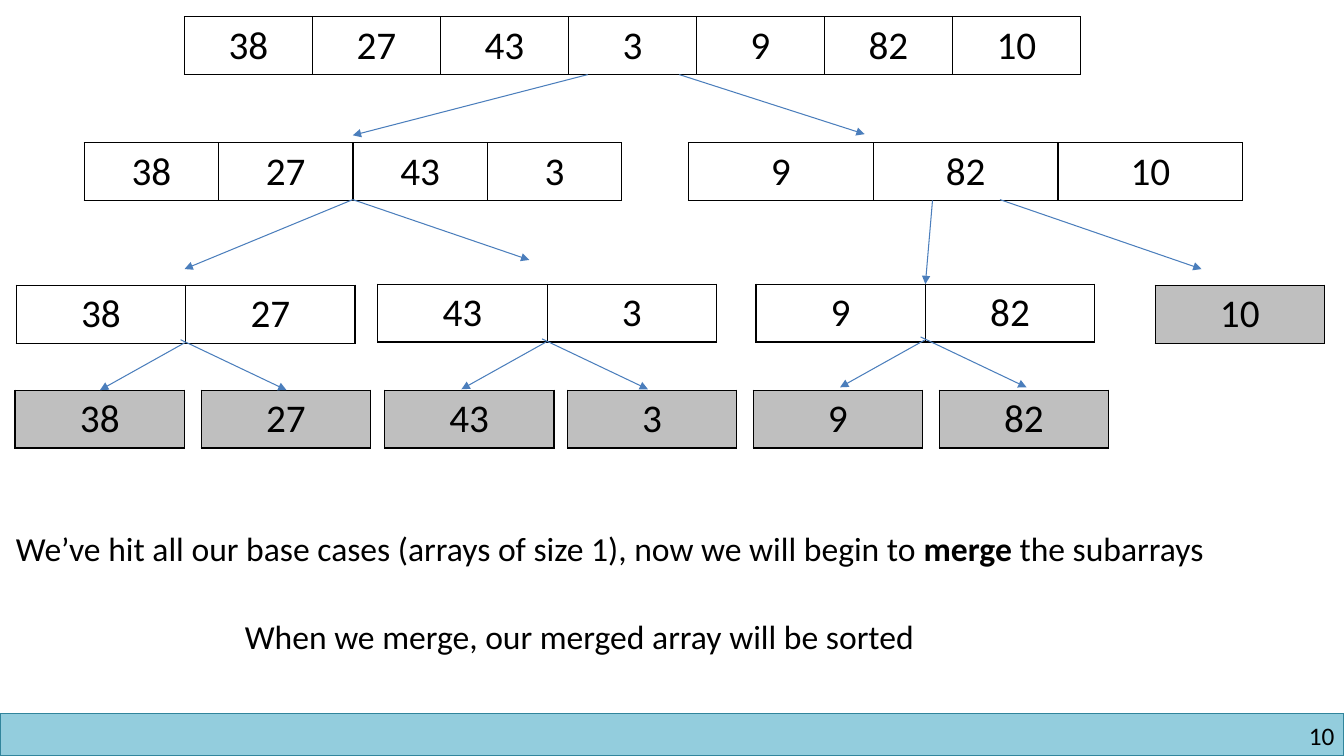
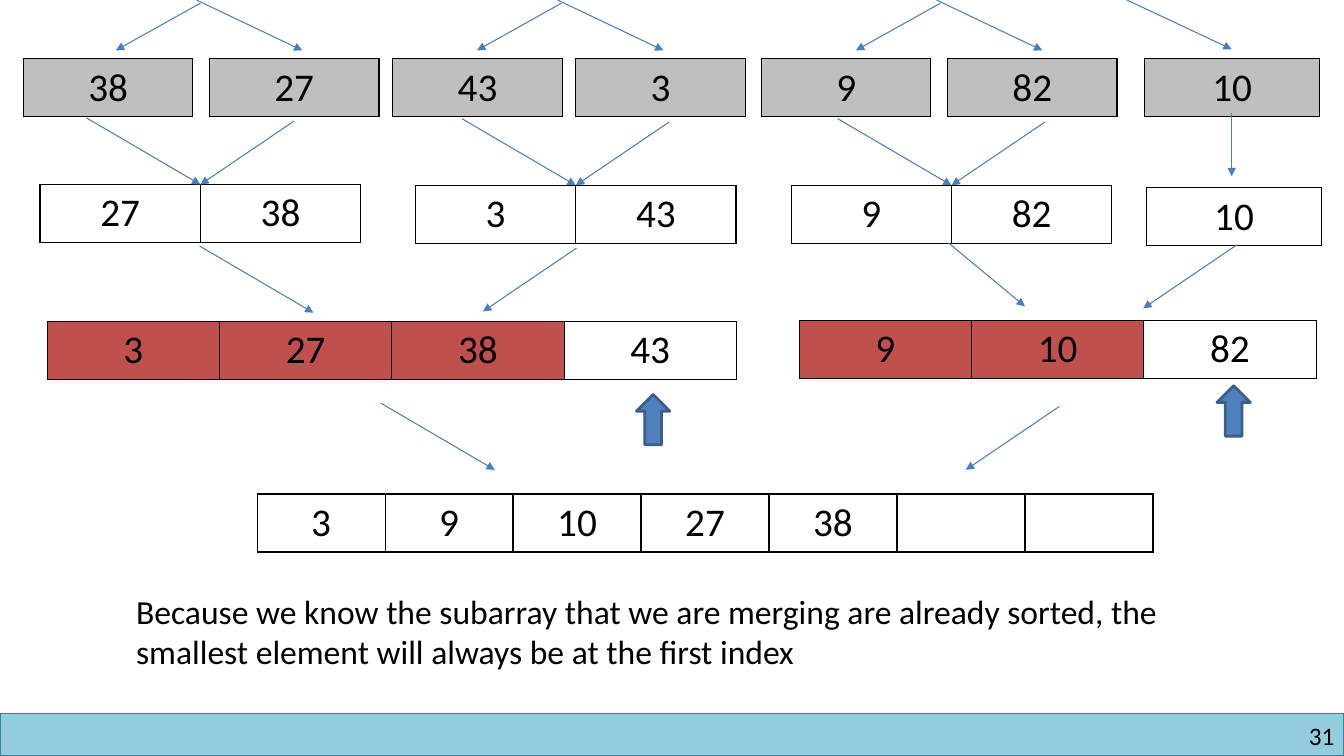
from lxml import etree
from pptx import Presentation
from pptx.dml.color import RGBColor as Rgb
from pptx.enum.shapes import MSO_CONNECTOR as Link, MSO_SHAPE as Kind
from pptx.enum.text import PP_ALIGN as Align
from pptx.oxml import parse_xml
from pptx.oxml.ns import nsdecls, qn
from pptx.util import Cm, Pt

COLORS = {
    "band": "93CDDD", "edge": "31859C", "ink": "000000", "white": "FFFFFF",
    "base": "BFBFBF", "used": "C0504D", "link": "4B7EBC",
    "mark": "4F81BD", "rim": "3A5F8C",
}
FONT = "Calibri"
WIDE, TALL = 33.87, 19.05
CELL_H = 1.46
LEAF_W, LEAF_X = 4.27, (0, 4.69, 9.31, 13.92, 18.6, 23.29)
LEAF_NUMS = (38, 27, 43, 3, 9, 82)
TO_RIGHT, TO_LEFT = (2.87, 1.68), (-2.36, 1.6)


def color(name):
    return Rgb.from_string(COLORS[name])


def style(run, size, bold=False):
    font = run.font
    font.name, font.size, font.bold = FONT, Pt(size), bold
    font.color.rgb = color("ink")


# Basic parts
def shape(slide, kind, box, fill, line, width):
    item = slide.shapes.add_shape(kind, *map(Cm, box))
    item.shadow.inherit = False
    item.fill.solid()
    item.fill.fore_color.rgb = color(fill)
    item.line.color.rgb = color(line)
    item.line.width = Pt(width)


def arrow(slide, x, y, dx, dy):
    line = slide.shapes.add_connector(
        Link.STRAIGHT, Cm(x), Cm(y), Cm(x + dx), Cm(y + dy))
    line.line.color.rgb = color("link")
    line.line.width = Pt(0.75)
    props = line._element.spPr
    etree.SubElement(props.find(qn("a:ln")), qn("a:tailEnd"), type="triangle")
    etree.SubElement(props, qn("a:effectLst"))


def note(slide, box, text, size=24, align=Align.LEFT, inset=None):
    """Place text; parts between asterisks are bold."""
    frame = slide.shapes.add_textbox(*map(Cm, box)).text_frame
    frame.word_wrap = True
    if inset is not None:
        frame.margin_left = frame.margin_right = Cm(inset)
        frame.margin_top = frame.margin_bottom = Cm(inset)
    para = frame.paragraphs[0]
    para.alignment = align
    for i, part in enumerate(text.split("*")):
        run = para.add_run()
        run.text = part
        style(run, size, bold=i % 2 == 1)


def border(cell):
    props = cell._tc.get_or_add_tcPr()
    for side in "LRTB":
        props.append(parse_xml(
            f'<a:ln{side} {nsdecls("a")} w="12700"><a:solidFill>'
            f'<a:srgbClr val="{COLORS["ink"]}"/></a:solidFill></a:ln{side}>'))


def array(slide, x, y, width, nums, fill="white", count=None):
    """Draw one row of numbers; the first count cells take the fill."""
    count = len(nums) if count is None else count
    table = slide.shapes.add_table(
        1, len(nums), Cm(x), Cm(y), Cm(width), Cm(CELL_H)).table
    table.first_row = table.horz_banding = False
    for i, num in enumerate(nums):
        table.columns[i].width = Cm(width / len(nums))
        cell = table.cell(0, i)
        border(cell)
        cell.fill.solid()
        cell.fill.fore_color.rgb = color(fill if i < count else "white")
        cell.text_frame.text = str(num)
        para = cell.text_frame.paragraphs[0]
        para.alignment = Align.CENTER
        for run in para.runs:
            style(run, 28)


# Shared regions
def footer(slide, page):
    top = 17.98
    shape(slide, Kind.RECTANGLE, (0, top, WIDE, TALL - top), "band", "edge", 1)
    note(slide, (25.83, top + 0.18, 7.8, 0.76), str(page), 18, Align.RIGHT, 0)


def leaves(slide, x, y):
    for dx, num in zip(LEAF_X, LEAF_NUMS):
        array(slide, x + dx, y, LEAF_W, [num], "base")


def fork(slide, x, y):
    arrow(slide, x, y, -2.13, 1.19)
    arrow(slide, x - 0.1, y - 0.08, 2.67, 1.27)


def join(slide, x, y):
    for dx, dy in (TO_RIGHT, TO_LEFT):
        arrow(slide, x - dx, y - dy, dx, dy)


# Slides
def split(slide):
    array(slide, 4.65, 0.42, 22.58, (38, 27, 43, 3, 9, 82, 10))
    array(slide, 2.12, 3.6, 13.55, (38, 27, 43, 3))
    array(slide, 17.35, 3.6, 13.97, (9, 82, 10))
    for x, y, nums in ((0.41, 7.19, (38, 27)), (9.52, 7.16, (43, 3)),
                       (19.05, 7.16, (9, 82))):
        array(slide, x, y, 2 * LEAF_W, nums)
    array(slide, 29.11, 7.19, LEAF_W, [10], "base")
    leaves(slide, 0.38, 9.83)
    for leg in ((14.81, 1.88, -5.92, 1.53), (17.12, 1.88, 4.67, 1.5),
                (8.89, 5.03, -4.24, 1.75), (8.89, 5.03, 4.45, 1.52),
                (23.5, 5.05, -0.18, 2.11), (25.2, 5.03, 5.08, 1.75)):
        arrow(slide, *leg)
    for x, y in ((4.65, 8.64), (13.76, 8.62), (23.3, 8.57)):
        fork(slide, x, y)
    note(slide, (0.15, 13.18, 33.5, 1.27),
         "We’ve hit all our base cases (arrays of size 1), now we will "
         "begin to *merge* the subarrays")
    note(slide, (5.92, 15.39, 19, 1.27),
         "When we merge, our merged array will be sorted")


def merge(slide):
    # Base cases
    leaves(slide, 0.59, 1.48)
    array(slide, 28.85, 1.48, 4.4, [10], "base")
    for x in (5.05, 14.15, 23.7):
        fork(slide, x, 0.08)
    arrow(slide, 28.4, 0, 2.64, 1.24)

    # Sorted pairs
    for x, y, nums in ((1.01, 4.65, (27, 38)), (10.47, 4.67, (3, 43)),
                       (19.94, 4.67, (9, 82))):
        array(slide, x, y, 8.08, nums)
        join(slide, x + 4.04, y)
    array(slide, 28.9, 4.73, 4.4, [10])
    arrow(slide, 31.04, 2.84, 0, 1.6)

    # Sorted halves and the result
    array(slide, 1.19, 8.1, 17.37, (3, 27, 38, 43), "used", 3)
    array(slide, 20.14, 8.08, 13.03, (9, 10, 82), "used", 2)
    array(slide, 6.48, 12.45, 22.58, (3, 9, 10, 27, 38, "", ""))
    for x, y, way in ((5.03, 6.2, TO_RIGHT), (14.53, 6.25, TO_LEFT),
                      (23.9, 6.12, (1.93, 1.6)), (31.17, 6.17, TO_LEFT),
                      (9.6, 10.16, TO_RIGHT), (26.7, 10.24, TO_LEFT)):
        arrow(slide, x, y, *way)
    note(slide, (3.18, 14.76, 27.53, 2.31),
         "Because we know the subarray that we are merging are already "
         "sorted, the smallest element will always be at the first index")
    for x, y in ((16.04, 9.94), (30.67, 9.72)):
        shape(slide, Kind.UP_ARROW, (x, y, 0.84, 1.27), "mark", "rim", 2)


def main():
    deck = Presentation()
    deck.slide_width, deck.slide_height = Cm(WIDE), Cm(TALL)
    for build, page in ((split, 10), (merge, 31)):
        slide = deck.slides.add_slide(deck.slide_layouts[6])
        footer(slide, page)
        build(slide)
    deck.save("out.pptx")


if __name__ == "__main__":
    main()
